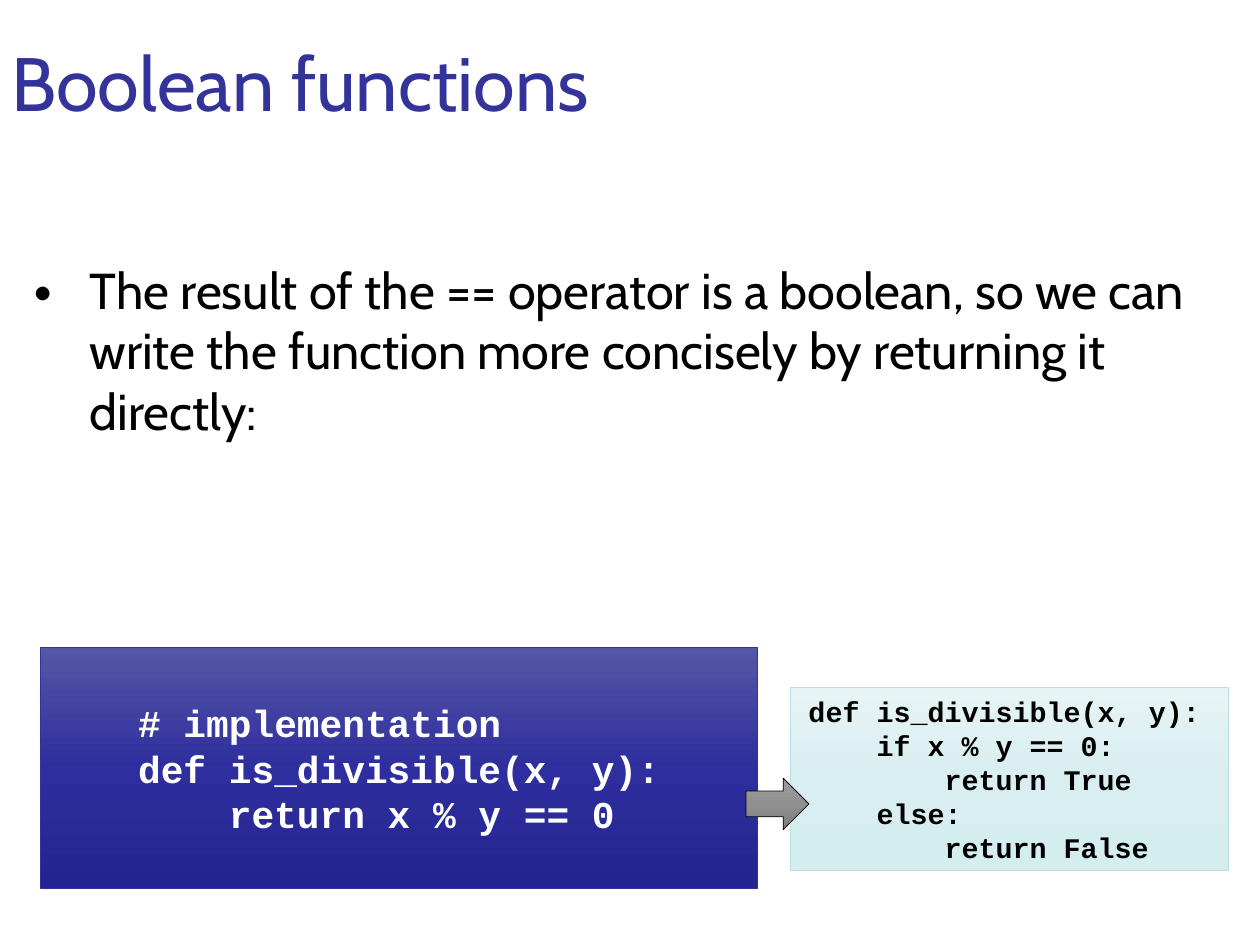
from copy import deepcopy

from lxml import etree
from pptx import Presentation
from pptx.dml.color import RGBColor
from pptx.enum.shapes import MSO_SHAPE
from pptx.enum.text import MSO_ANCHOR, MSO_AUTO_SIZE, PP_ALIGN
from pptx.oxml.ns import qn
from pptx.util import Inches, Pt

RECTANGLE, ARROW = MSO_SHAPE.RECTANGLE, MSO_SHAPE.RIGHT_ARROW
MIDDLE, TOP = MSO_ANCHOR.MIDDLE, MSO_ANCHOR.TOP
LEFT, NO_RESIZE = PP_ALIGN.LEFT, MSO_AUTO_SIZE.NONE

WIDTH, HEIGHT = Inches(11.11), Inches(8.33)
TITLE_ONLY = 5
TEXT_FONT, CODE_FONT = "Cabin", "Courier New"
CODE_CHAR_WIDTH = 0.6  # share of the font size

BLACK = RGBColor(0x00, 0x00, 0x00)
WHITE = RGBColor(0xFF, 0xFF, 0xFF)
INDIGO = RGBColor(0x33, 0x33, 0x99)
AQUA = RGBColor(0xBB, 0xE0, 0xE3)
INDIGO_FADE = [RGBColor(0x56, 0x56, 0xA6), RGBColor(0x2E, 0x2E, 0x9E), RGBColor(0x24, 0x24, 0x91)]
AQUA_FADE = [RGBColor(0xE6, 0xF4, 0xF5), RGBColor(0xD9, 0xEE, 0xF0), RGBColor(0xD4, 0xED, 0xEF)]
GREY_FADE = [RGBColor(0x9D, 0x9D, 0x9D), RGBColor(0x90, 0x90, 0x90), RGBColor(0x7C, 0x7C, 0x7C)]

# Each code line is (indent level, text).
SHORT_VERSION = [
    (0, "# implementation"),
    (0, "def is_divisible(x, y):"),
    (1, "return x % y == 0"),
]
LONG_VERSION = [
    (0, "def is_divisible(x, y):"),
    (1, "if x % y == 0:"),
    (2, "return True"),
    (1, "else:"),
    (2, "return False"),
]


class SlideBuilder:
    """Places elements by (left, top, width, height) in percent of the slide."""

    def __init__(self, deck):
        self.page = deck.slides.add_slide(deck.slide_layouts[TITLE_ONLY])

    def place(self, left, top, width, height):
        return (int(WIDTH * left / 100), int(HEIGHT * top / 100),
                int(WIDTH * width / 100), int(HEIGHT * height / 100))

    def frame(self, box, anchor, inset=None):
        frame = box.text_frame
        frame.word_wrap = True
        frame.auto_size = NO_RESIZE
        frame.vertical_anchor = anchor
        if inset is not None:
            frame.margin_left = frame.margin_right = inset
            frame.margin_top = frame.margin_bottom = inset
        return frame

    def add_text(self, para, text, size, color, font=TEXT_FONT, bold=False):
        para.alignment = LEFT
        span = para.add_run()
        span.text = text
        span.font.name = font
        span.font.size = Pt(size)
        span.font.bold = bold
        span.font.color.rgb = color

    def title(self, text, area):
        box = self.page.shapes.title
        box.left, box.top, box.width, box.height = self.place(*area)
        frame = self.frame(box, MIDDLE, Inches(0.04))
        self.add_text(frame.paragraphs[0], text, 48, INDIGO)

    def bullet(self, text, area):
        box = self.page.shapes.add_textbox(*self.place(*area))
        para = self.frame(box, TOP, Inches(0.04)).paragraphs[0]
        self.add_text(para, text, 32, BLACK)
        properties = para._p.get_or_add_pPr()
        properties.set("marL", str(Inches(0.75)))
        properties.set("indent", str(-Inches(0.49)))
        etree.SubElement(properties, qn("a:buSzPct"), val="125000")
        etree.SubElement(properties, qn("a:buFont"), typeface=TEXT_FONT)
        etree.SubElement(properties, qn("a:buChar"), char="•")

    def shape(self, kind, area, fade, line_color):
        """Add a shape whose fill runs evenly through three colours, top to bottom."""
        shape = self.page.shapes.add_shape(kind, *self.place(*area))
        shape.shadow.inherit = False
        shape.line.color.rgb = line_color
        shape.line.width = Pt(0.5)
        shape.fill.gradient()
        shape.fill.gradient_angle = 270
        stop_list = shape.element.spPr.find(qn("a:gradFill")).find(qn("a:gsLst"))
        stop_list.append(deepcopy(stop_list[-1]))
        for index, (stop, color) in enumerate(zip(shape.fill.gradient_stops, fade)):
            stop.position = index / 2
            stop.color.rgb = color
        return shape

    def code(self, lines, area, fade, line_color, size, color, margin):
        """Add a code panel; margin is the left indent in inches."""
        frame = self.frame(self.shape(RECTANGLE, area, fade, line_color), MIDDLE)
        level_width = 4 * CODE_CHAR_WIDTH * size / 72
        for index, (level, text) in enumerate(lines):
            para = frame.add_paragraph() if index else frame.paragraphs[0]
            self.add_text(para, text, size, color, CODE_FONT, bold=True)
            properties = para._p.get_or_add_pPr()
            properties.set("marL", str(Inches(margin + level * level_width)))
            properties.set("indent", "0")


def main():
    deck = Presentation()
    deck.slide_width, deck.slide_height = WIDTH, HEIGHT
    slide = SlideBuilder(deck)
    slide.title("Boolean functions", (0.54, 0.72, 99.28, 15.85))
    slide.bullet("The result of the == operator is a boolean, so we can write "
                 "the function more concisely by returning it directly:",
                 (0, 26.9, 99.2, 21))
    slide.code(LONG_VERSION, (62.74, 72.7, 34.74, 19.45), AQUA_FADE, AQUA, 18, BLACK, 0.06)
    slide.code(SHORT_VERSION, (3.24, 68.55, 56.89, 25.45), INDIGO_FADE, INDIGO, 24, WHITE, 0.76)
    slide.shape(ARROW, (59.2, 82.35, 5, 5.45), GREY_FADE, BLACK)
    deck.save("out.pptx")


if __name__ == "__main__":
    main()
